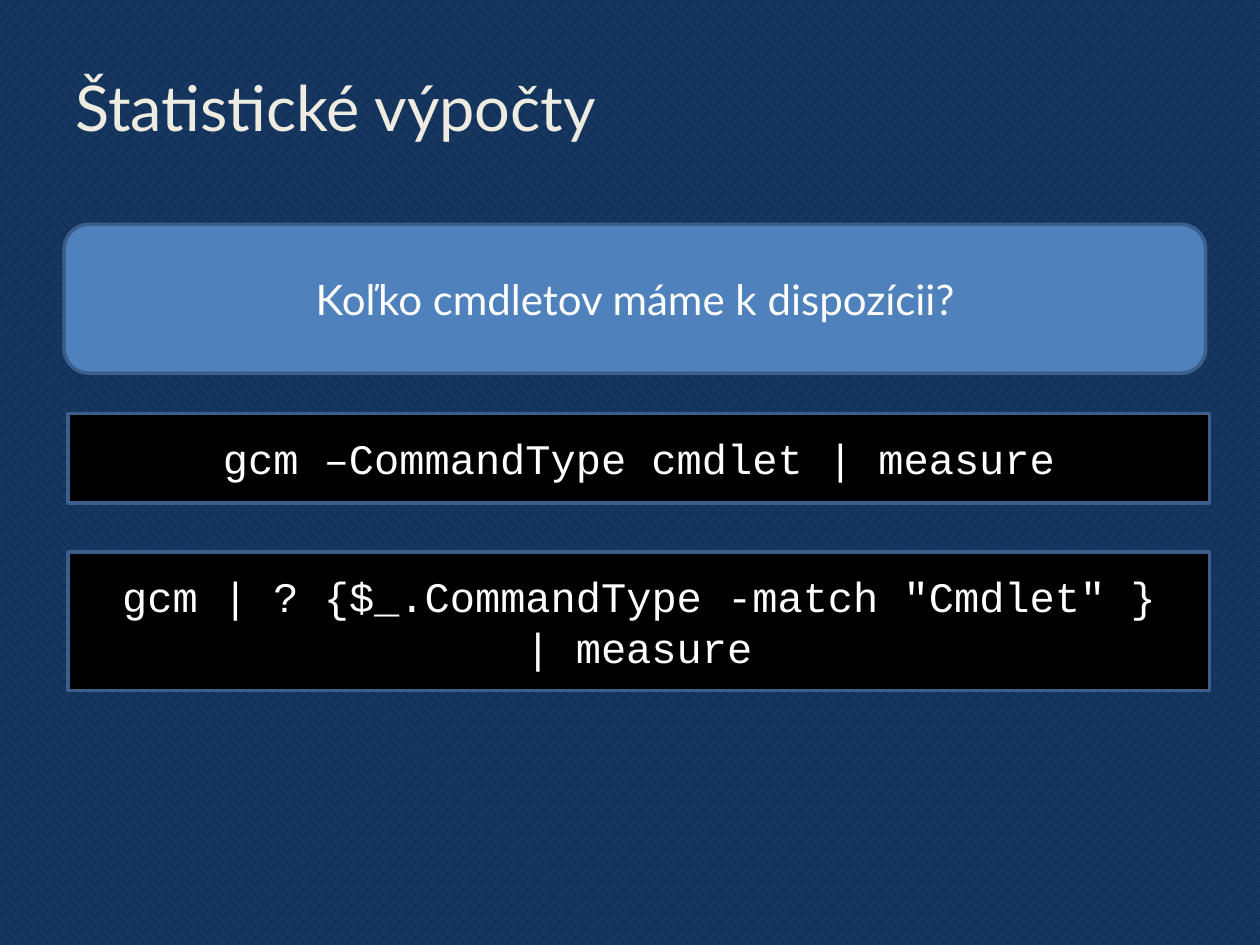
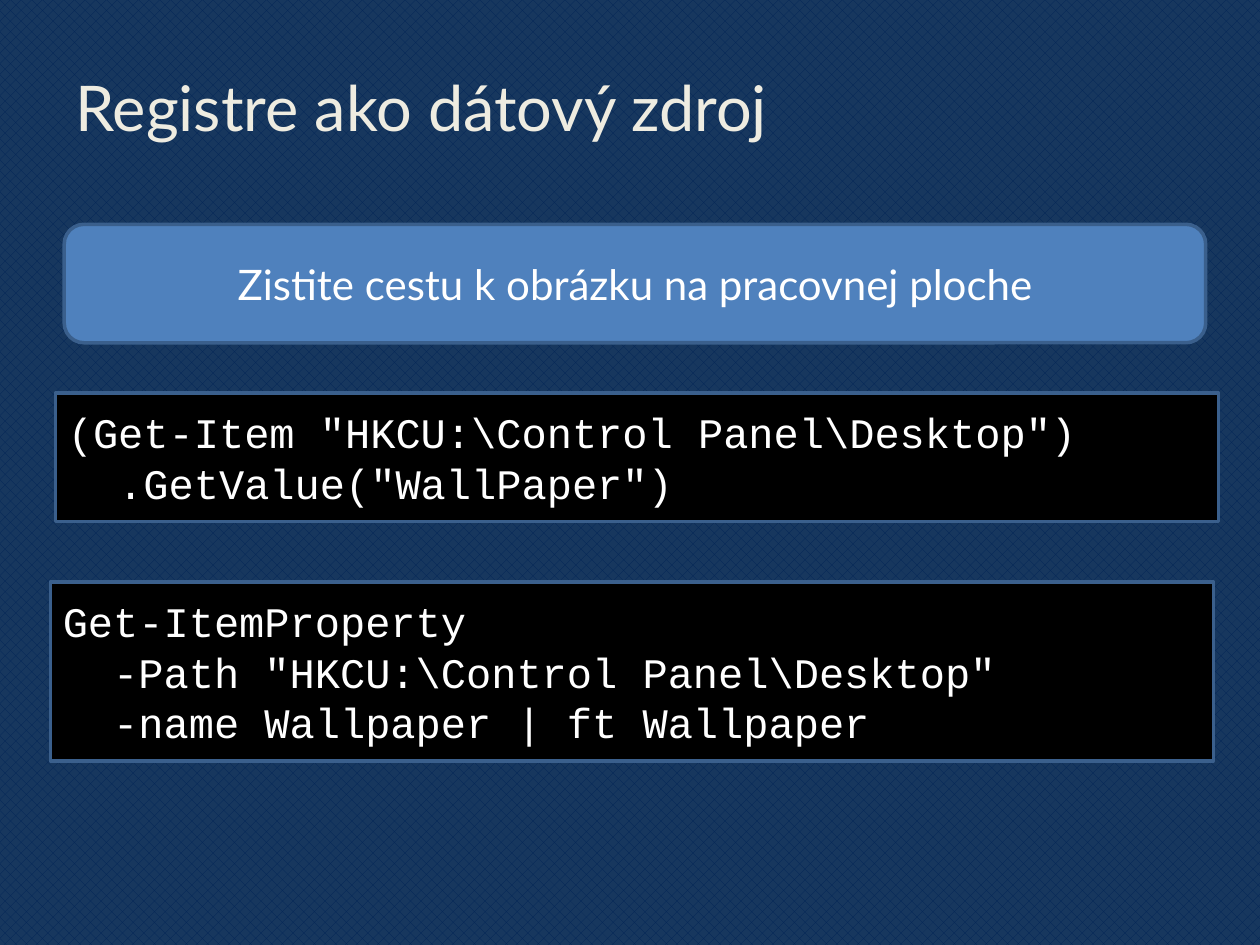
from dataclasses import dataclass

from pptx import Presentation
from pptx.dml.color import RGBColor
from pptx.enum.dml import MSO_PATTERN
from pptx.enum.shapes import MSO_SHAPE
from pptx.enum.text import MSO_ANCHOR, PP_ALIGN
from pptx.slide import Slide
from pptx.text.text import TextFrame
from pptx.util import Pt

COLORS = {
    "pattern": "012456",
    "background": "17375E",
    "title": "EEECE1",
    "question": "4F81BD",
    "outline": "3A5F8C",
    "console": "000000",
    "text": "FFFFFF",
}
TEXT_FONT = "Lato"
CODE_FONT = "Courier New"
TITLE_SIZE = 36
BODY_SIZE = 24


@dataclass(frozen=True)
class Panel:
    text: str
    left: float
    top: float
    width: float
    height: float
    shape: MSO_SHAPE = MSO_SHAPE.RECTANGLE
    fill: str = "console"
    font: str = CODE_FONT
    align: PP_ALIGN = PP_ALIGN.LEFT


@dataclass(frozen=True)
class Page:
    title: str
    panels: tuple[Panel, ...]


def question(text: str, height: float) -> Panel:
    return Panel(text, 36.7, 128.2, 652.3, height, MSO_SHAPE.ROUNDED_RECTANGLE,
                 "question", TEXT_FONT, PP_ALIGN.CENTER)


def short_command(text: str, top: float, height: float) -> Panel:
    return Panel(text, 38.9, top, 652.3, height, align=PP_ALIGN.CENTER)


def long_command(text: str, left: float, top: float, height: float) -> Panel:
    return Panel(text, left, top, 664.6, height)


PAGES = (
    Page("Štatistické výpočty", (
        question("Koľko cmdletov máme k dispozícii?", 85),
        short_command("gcm –CommandType cmdlet | measure", 236.2, 51.1),
        short_command('gcm | ? {$_.CommandType -match "Cmdlet" }\n| measure', 315.4, 79.2),
    )),
    Page("Registre ako dátový zdroj", (
        question("Zistite cestu k obrázku na pracovnej ploche", 67.7),
        long_command('(Get-Item "HKCU:\\Control Panel\\Desktop")\n'
                     '  .GetValue("WallPaper")', 31.7, 224.6, 73.4),
        long_command('Get-ItemProperty\n'
                     '  -Path "HKCU:\\Control Panel\\Desktop"\n'
                     '  -name Wallpaper | ft Wallpaper', 28.8, 332.6, 102.2),
    )),
)


def color(name: str) -> RGBColor:
    return RGBColor.from_string(COLORS[name])


def write(frame: TextFrame, text: str, font: str, size: float, ink: str, align: PP_ALIGN) -> None:
    frame.text = text
    frame.word_wrap = True
    frame.vertical_anchor = MSO_ANCHOR.MIDDLE
    for para in frame.paragraphs:
        para.alignment = align
        for span in para.runs:
            span.font.name = font
            span.font.size = Pt(size)
            span.font.color.rgb = color(ink)


def paint_background(slide: Slide) -> None:
    fill = slide.background.fill
    fill.patterned()
    fill.pattern = MSO_PATTERN.from_xml("pct40")
    fill.fore_color.rgb = color("pattern")
    fill.back_color.rgb = color("background")


def draw_title(slide: Slide, title: str) -> None:
    box = slide.shapes.add_textbox(Pt(36), Pt(21.6), Pt(648), Pt(78.5))
    write(box.text_frame, title, TEXT_FONT, TITLE_SIZE, "title", PP_ALIGN.LEFT)


def draw_panel(slide: Slide, panel: Panel) -> None:
    box = slide.shapes.add_shape(panel.shape, Pt(panel.left), Pt(panel.top),
                                 Pt(panel.width), Pt(panel.height))
    box.shadow.inherit = False
    box.fill.solid()
    box.fill.fore_color.rgb = color(panel.fill)
    box.line.color.rgb = color("outline")
    box.line.width = Pt(2)
    write(box.text_frame, panel.text, panel.font, BODY_SIZE, "text", panel.align)


def main() -> None:
    deck = Presentation()
    deck.slide_width, deck.slide_height = Pt(720), Pt(540)
    for page in PAGES:
        slide = deck.slides.add_slide(deck.slide_layouts[6])
        paint_background(slide)
        draw_title(slide, page.title)
        for panel in page.panels:
            draw_panel(slide, panel)
    deck.save("out.pptx")


if __name__ == "__main__":
    main()
